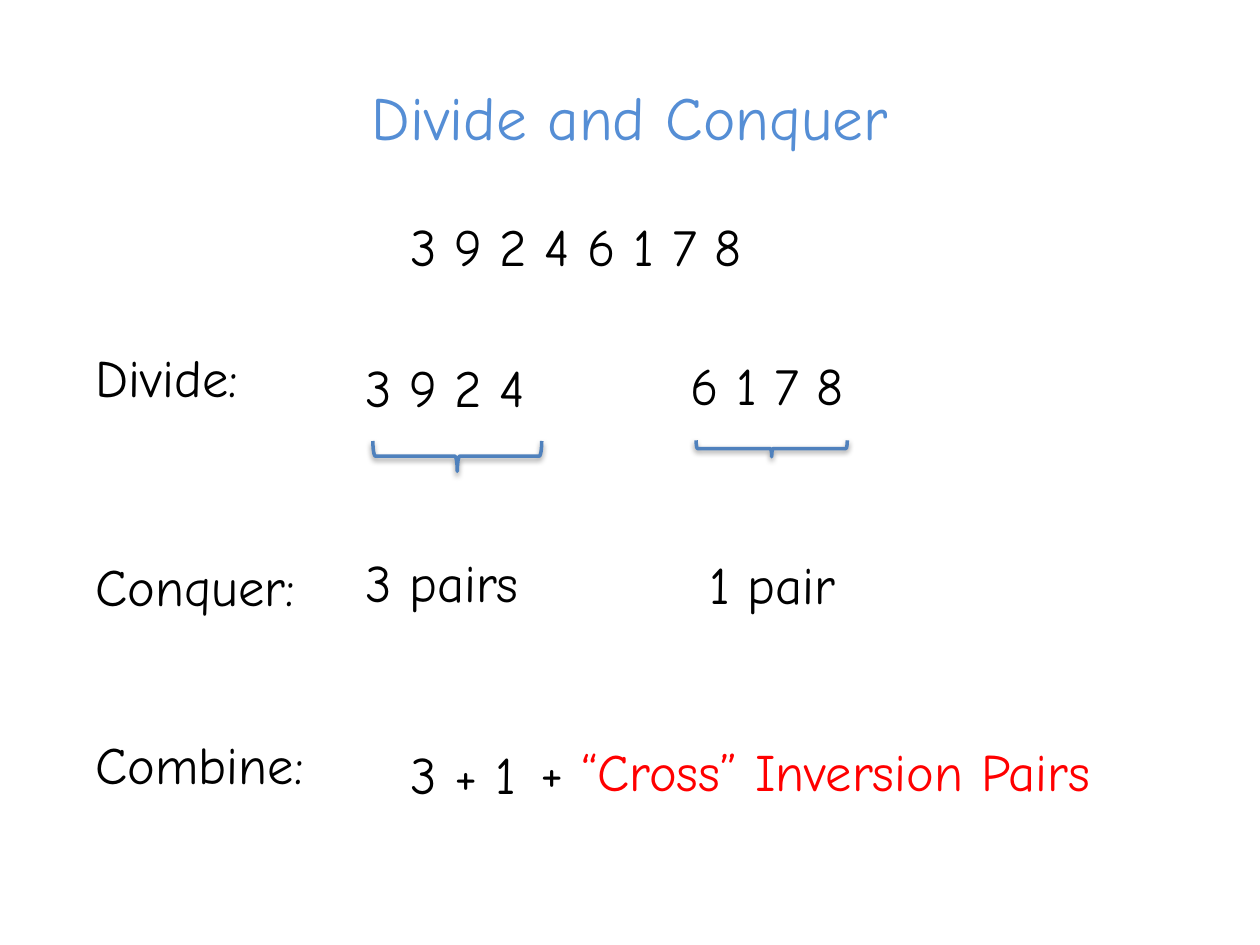
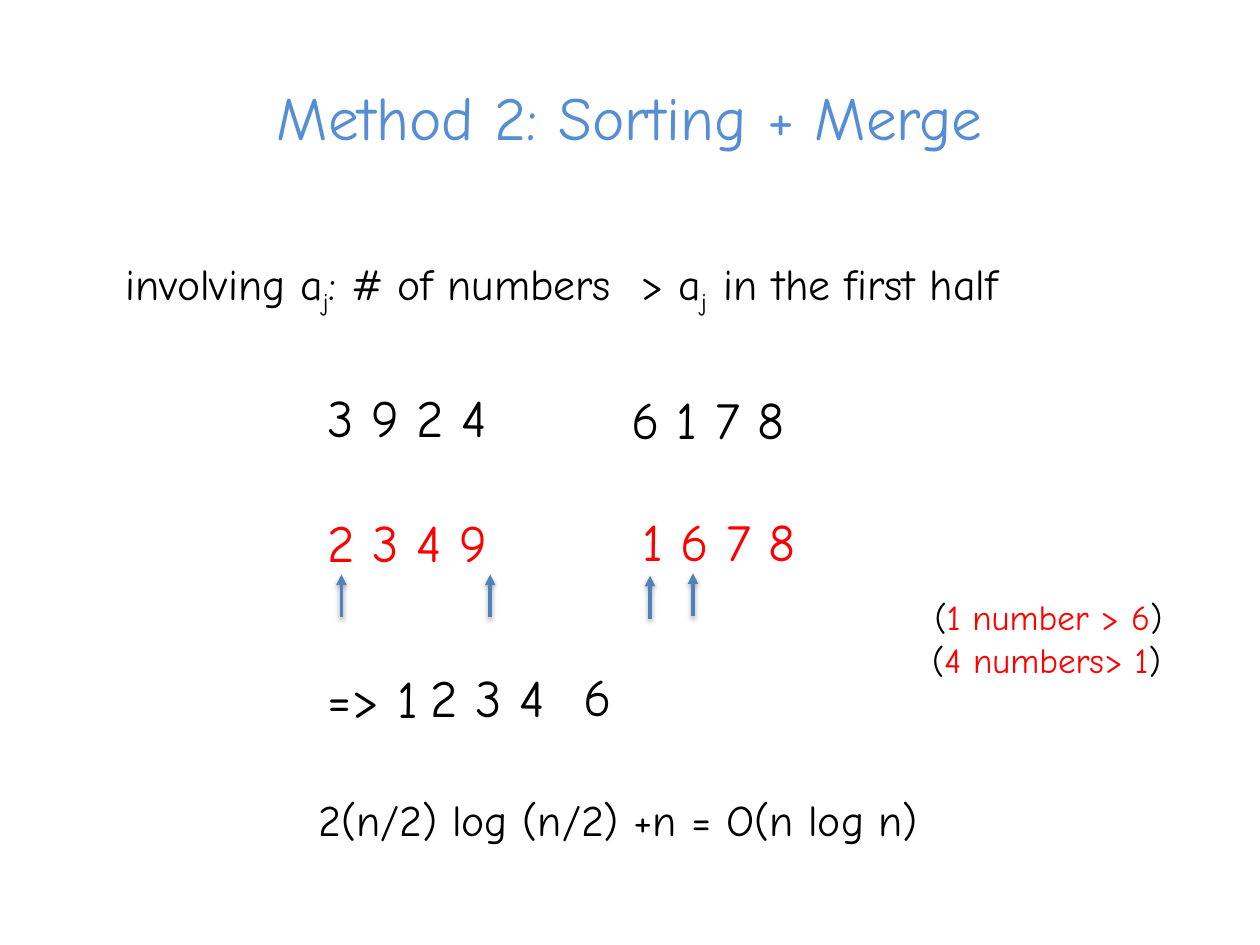
import pptx
import pptx.dml.color
import pptx.enum.shapes
import pptx.enum.text
import pptx.oxml
import pptx.oxml.ns
import pptx.util

Pt = pptx.util.Pt
RGBColor = pptx.dml.color.RGBColor
Shape = pptx.enum.shapes.MSO_SHAPE
Link = pptx.enum.shapes.MSO_CONNECTOR
Fit = pptx.enum.text.MSO_AUTO_SIZE
Anchor = pptx.enum.text.MSO_ANCHOR
Align = pptx.enum.text.PP_ALIGN

BLACK = RGBColor(0x00, 0x00, 0x00)
RED = RGBColor(0xFF, 0x00, 0x00)
SKY = RGBColor(0x55, 0x8E, 0xD5)
BLUE = RGBColor(0x4F, 0x81, 0xBD)
FONT = "Comic Neue"
BIG, MID, SMALL = 30, 25, 20

FRAME = {"word_wrap": True, "auto_size": Fit.SHAPE_TO_FIT_TEXT}
NAMES = pptx.oxml.ns.nsdecls("a")
SHADE = (f'<a:effectLst {NAMES}><a:outerShdw blurRad="40000" dist="20000" dir="5400000" '
         'rotWithShape="0"><a:srgbClr val="000000"><a:alpha val="38000"/></a:srgbClr>'
         '</a:outerShdw></a:effectLst>')
HEAD = f'<a:tailEnd {NAMES} type="triangle"/>'


def apply(item, values):
    for name, value in values.items():
        setattr(item, name, value)


def add_run(para, words, size, color, base=0):
    run = para.add_run()
    run.text = words
    apply(run.font, {"name": FONT, "size": Pt(size)})
    run.font.color.rgb = color
    if base:
        run.font._element.set("baseline", str(base * 1000))


def add_slide(deck, title):
    slide = deck.slides.add_slide(deck.slide_layouts[5])
    head = slide.shapes.title
    apply(head, {"left": Pt(36), "top": Pt(41), "width": Pt(648), "height": Pt(51)})
    apply(head.text_frame, {**FRAME, "vertical_anchor": Anchor.MIDDLE})
    para = head.text_frame.paragraphs[0]
    para.alignment = Align.CENTER
    add_run(para, title, 35, SKY)
    return slide


def add_text(slide, left, top, width, *runs, size=BIG):
    """Add one line of text; each run is (words, colour) or (words, colour, base)."""
    high = 1.22 * size + 7.2
    box = slide.shapes.add_textbox(Pt(left), Pt(top), Pt(width), Pt(high))
    apply(box.text_frame, FRAME)
    for words, *style in runs:
        add_run(box.text_frame.paragraphs[0], words, size, *style)


def draw_line(shape):
    """Give a shape the blue line and soft shadow."""
    shape.line.color.rgb = BLUE
    shape.line.width = Pt(2)
    shape.element.spPr.append(pptx.oxml.parse_xml(SHADE))


def add_brace(slide, left, top, width, depth):
    """Add a brace that opens upward, by its visible frame."""
    x = left + (width - depth) / 2
    y = top + (depth - width) / 2
    brace = slide.shapes.add_shape(Shape.LEFT_BRACE, Pt(x), Pt(y), Pt(depth), Pt(width))
    brace.rotation = 270
    brace.fill.background()
    draw_line(brace)


def add_arrow(slide, x, tip):
    arrow = slide.shapes.add_connector(Link.STRAIGHT, Pt(x), Pt(tip + 24.5), Pt(x), Pt(tip))
    draw_line(arrow)
    arrow.line._get_or_add_ln().append(pptx.oxml.parse_xml(HEAD))


def build_divide(deck):
    slide = add_slide(deck, "Divide and Conquer")
    for step, top in (("Divide:", 193.7), ("Conquer:", 313.2), ("Combine:", 414.7)):
        add_text(slide, 47.5, top, 190, (step, BLACK))
    for words, left, top, width in (
        ("3 9 2 4 6 1 7 8", 227.5, 118.8, 342),
        ("3 9 2 4", 201.6, 199.4, 119),
        ("6 1 7 8", 387.4, 198, 140),
        ("3 pairs", 201.6, 311, 119),
        ("1 pair", 398.2, 311.8, 119),
        ("3 + 1", 227.5, 420.5, 119),
    ):
        add_text(slide, left, top, width, (words, BLACK))
    add_text(slide, 301.7, 419, 414, ("+ ", BLACK), ("“Cross” Inversion Pairs", RED))
    add_brace(slide, 213.1, 252, 96.5, 17.3)
    add_brace(slide, 397.8, 251.6, 86.4, 9.4)


def build_merge(deck):
    slide = add_slide(deck, "Method 2: Sorting + Merge")
    add_text(slide, 64.8, 143.3, 619, ("involving a", BLACK), ("j", BLACK, -25),
             (": # of numbers  > a", BLACK), ("j  ", BLACK, -25),
             ("in the first half", BLACK), size=MID)
    for words, left, top, width, color in (
        ("3 9 2 4", 180, 216.7, 119, BLACK),
        ("6 1 7 8", 353.5, 217.4, 140, BLACK),
        ("2 3 4 9", 180, 288, 159, RED),
        ("1 6 7 8", 360, 287.3, 221, RED),
        ("=> 1", 180, 377.3, 159, BLACK),
        ("2 3 4", 239, 376.6, 100, BLACK),
        ("6", 326.2, 375.8, 100, BLACK),
    ):
        add_text(slide, left, top, width, (words, color))
    for x, tip in ((195.1, 328.3), (280.1, 328.3), (371.5, 329), (396, 327.6)):
        add_arrow(slide, x, tip)
    for words, left, top in (("1 number > 6", 527, 337), ("4 numbers> 1", 525.6, 361.4)):
        add_text(slide, left, top, 190, ("(", BLACK), (words, RED), (")", BLACK), size=SMALL)
    add_text(slide, 175, 449.3, 393, ("2(n/2) log (n/2) +n = O(n log n)", BLACK), size=MID)


def main():
    deck = pptx.Presentation()
    apply(deck, {"slide_width": Pt(720), "slide_height": Pt(540)})
    build_divide(deck)
    build_merge(deck)
    deck.save("out.pptx")


if __name__ == "__main__":
    main()
